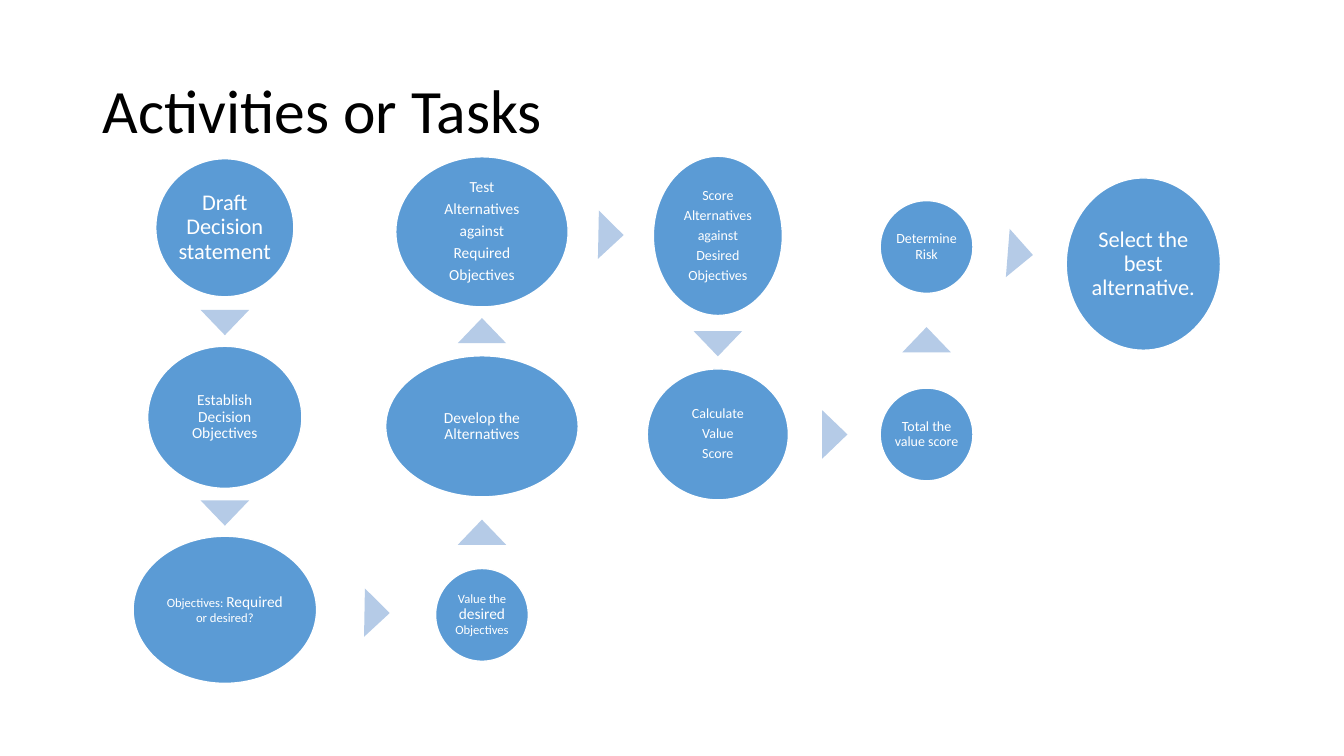
import pptx
import pptx.util
import pptx.dml.color
import pptx.enum.shapes
import pptx.enum.text

Inches, Pt = pptx.util.Inches, pptx.util.Pt
SHAPES = pptx.enum.shapes.MSO_SHAPE
ALIGN = pptx.enum.text.PP_ALIGN

COLORS = {"title": "000000", "step": "5B9BD5", "arrow": "B5CBE7", "white": "FFFFFF"}
FONT = "Calibri"
LINE_SPACING = 0.9
SPACE_AFTER = 0.35  # share of the text size
ARROW_WIDTH, ARROW_HEIGHT = 0.48, 0.25
UP, RIGHT, DOWN = 0, 90, 180

# Column centres, measured from the left of the flow
COLUMNS = [0.91, 3.46, 5.8, 7.87, 10.02]

# Column, centre y, width, height, inset, paragraphs of (text, size) runs
STEPS = [
    (0, 0.71, 1.37, 1.37, 0.02, [[("Draft Decision statement", 16)]]),
    (0, 2.59, 1.53, 1.41, 0.02, [[("Establish Decision Objectives", 11)]]),
    (0, 4.5, 1.82, 1.46, 0.01,
     [[("Objectives: ", 9), ("Required", 11), (" or desired?", 9)]]),
    (1, 4.55, 0.92, 0.92, 0.01,
     [[("Value the ", 9), ("desired", 11), (" Objectives", 9)]]),
    (1, 2.68, 1.91, 1.4, 0.02, [[("Develop the Alternatives", 11)]]),
    (1, 0.75, 1.71, 1.49, 0.02,
     [[(word, 11)] for word in "Test Alternatives against Required Objectives".split()]),
    (2, 0.79, 1.28, 1.58, 0.01,
     [[(word, 10)] for word in "Score Alternatives against Desired Objectives".split()]),
    (2, 2.76, 1.4, 1.3, 0.01, [[(word, 10)] for word in "Calculate Value Score".split()]),
    (3, 2.76, 0.92, 0.92, 0.01, [[("Total the value score", 10)]]),
    (3, 0.9, 0.92, 0.92, 0.01, [[("Determine Risk", 10)]]),
    (4, 1.07, 1.53, 1.71, 0.02, [[("Select the best alternative.", 16)]]),
]

# Centre x, centre y, rotation
ARROWS = [
    (COLUMNS[0], 1.65, DOWN),
    (COLUMNS[0], 3.54, DOWN),
    (2.42, 4.53, RIGHT + 1),
    (COLUMNS[1], 3.73, UP),
    (COLUMNS[1], 1.73, UP),
    (4.74, 0.78, RIGHT + 1.1),
    (COLUMNS[2], 1.86, DOWN),
    (6.96, 2.76, RIGHT),
    (COLUMNS[3], 1.82, UP),
    (8.8, 0.97, RIGHT + 4.5),
]


def rgb(name):
    """Return the named colour."""
    return pptx.dml.color.RGBColor.from_string(COLORS[name])


def write_paragraph(paragraph, runs, color, align):
    """Fill a paragraph with (text, size) runs."""
    paragraph.alignment = align
    paragraph.line_spacing = LINE_SPACING
    for text, size in runs:
        run = paragraph.add_run()
        run.text = text
        run.font.name = FONT
        run.font.size = Pt(size)
        run.font.color.rgb = rgb(color)


def add_centred(slide, kind, x, y, width, height, fill):
    """Add a filled shape around the centre x, y."""
    shape = slide.shapes.add_shape(
        kind, Inches(x - width / 2), Inches(y - height / 2), Inches(width), Inches(height))
    shape.shadow.inherit = False
    shape.fill.solid()
    shape.fill.fore_color.rgb = rgb(fill)
    return shape


def add_title(slide, left, top, width, height):
    """Add the slide title, centred vertically in its box."""
    title = slide.shapes.add_textbox(
        Inches(left), Inches(top), Inches(width), Inches(height)).text_frame
    title.word_wrap = True
    title.vertical_anchor = pptx.enum.text.MSO_ANCHOR.MIDDLE
    write_paragraph(title.paragraphs[0], [("Activities or Tasks", 44)], "title", ALIGN.LEFT)


def add_step(slide, x, y, width, height, inset, paragraphs):
    """Add one ellipse with its task."""
    step = add_centred(slide, SHAPES.OVAL, x, y, width, height, "step")
    step.line.color.rgb = rgb("white")
    step.line.width = Pt(1)
    task = step.text_frame
    task.word_wrap = True
    task.vertical_anchor = pptx.enum.text.MSO_ANCHOR.MIDDLE
    task.margin_left = task.margin_right = Inches(inset)
    task.margin_top = task.margin_bottom = Inches(inset)
    for index, runs in enumerate(paragraphs):
        paragraph = task.add_paragraph() if index else task.paragraphs[0]
        write_paragraph(paragraph, runs, "white", ALIGN.CENTER)
        paragraph.space_after = Pt(SPACE_AFTER * runs[0][1])


def add_flow(slide, left, top):
    """Add the steps and the arrows between them from the given corner."""
    for column, y, *details in STEPS:
        add_step(slide, left + COLUMNS[column], top + y, *details)
    for x, y, rotation in ARROWS:
        arrow = add_centred(slide, SHAPES.ISOSCELES_TRIANGLE, left + x, top + y,
                            ARROW_WIDTH, ARROW_HEIGHT, "arrow")
        arrow.line.fill.background()
        arrow.rotation = rotation


presentation = pptx.Presentation()
presentation.slide_width = Inches(13.33)
presentation.slide_height = Inches(7.5)
tasks_slide = presentation.slides.add_slide(presentation.slide_layouts[6])
add_title(tasks_slide, 0.92, 0.4, 11.5, 1.45)
add_flow(tasks_slide, 1.32, 1.55)
presentation.save("out.pptx")
